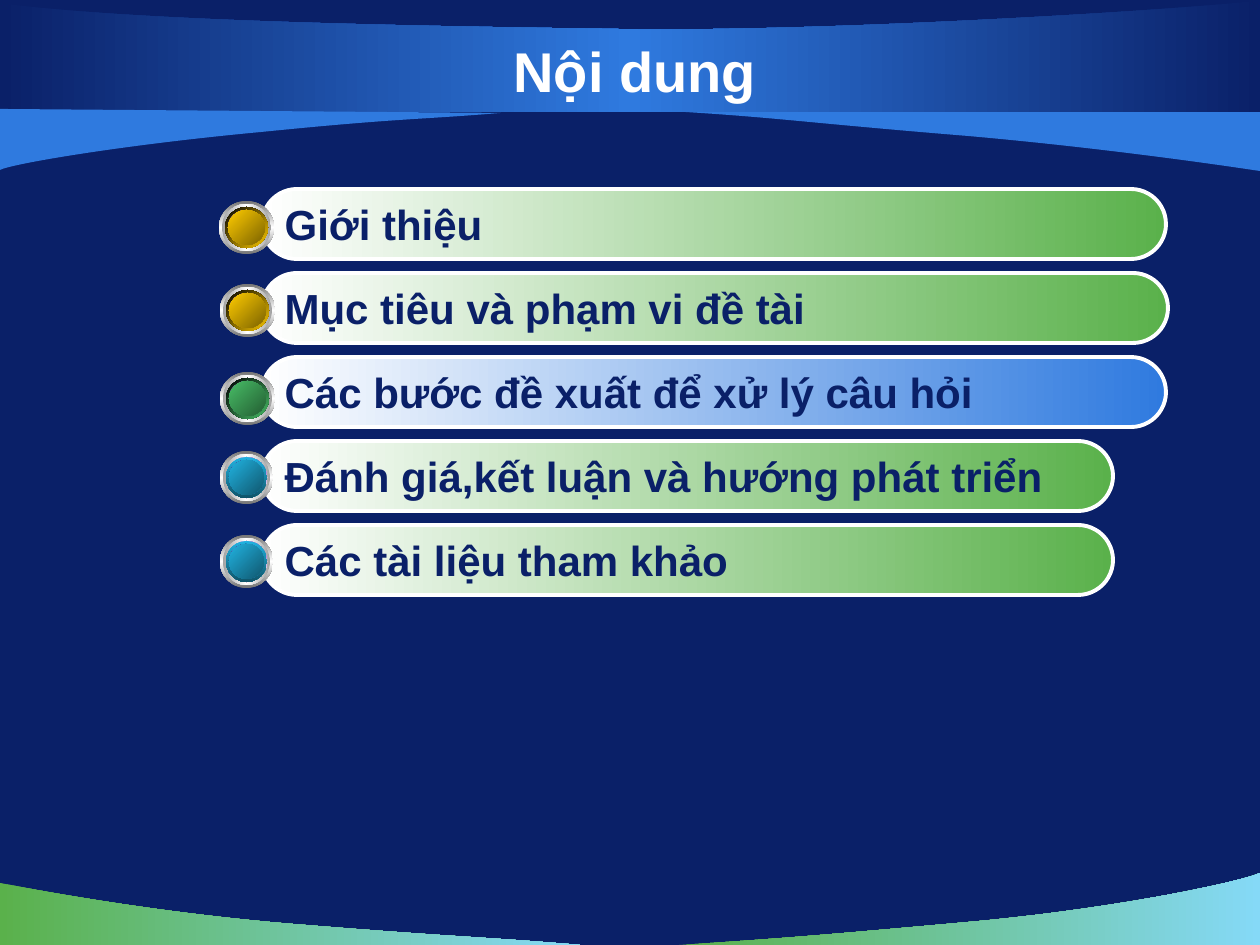
from dataclasses import dataclass

from lxml.etree import Element, SubElement
from pptx import Presentation
from pptx.dml.color import RGBColor as RGB
from pptx.enum.shapes import MSO_SHAPE as SHAPE
from pptx.enum.text import MSO_ANCHOR as ANCHOR, PP_ALIGN as ALIGN
from pptx.oxml.ns import qn
from pptx.util import Emu, Pt

SCALE = 914400 / 126


@dataclass(frozen=True)
class Theme:
    """Colours and type sizes; a shaded colour is a (hex, percent) pair."""
    font: str = "Arial"
    title_size: int = 32
    item_size: int = 24
    border: float = 2.25
    navy: str = "0A2068"
    blue: str = "2F7ADF"
    green: str = "5AB14B"
    sky: str = "85D9F7"
    white: str = "FFFFFF"
    silver: tuple = ("FFFFFF", 46)
    pearl: tuple = ("FFFFFF", 64)
    violet: str = "8A52C8"
    plum: tuple = ("8A52C8", 57)
    gold_medal: tuple = ((("FFCC00", 0), "FFCC00"), 45, ("FFCC00", ("FFCC00", 49)))
    green_medal: tuple = ((("48BE67", 0), "48BE67"), 45, ("48BE67", ("48BE67", 50)))
    blue_medal: tuple = (("21B3E1", ("21B3E1", 47)), 90, ("21B3E1", ("21B3E1", 49)))


T = Theme()


def px(n):
    """Turn a length in px into EMU."""
    return Emu(round(n * SCALE))


def add_stop(stops, pos, color):
    """Append one gradient stop, shaded if the colour is a pair."""
    gs = SubElement(stops, qn("a:gs"), pos=str(round(pos)))
    if isinstance(color, str):
        SubElement(gs, qn("a:srgbClr"), val=color)
        return
    base, percent = color
    clr = SubElement(gs, qn("a:srgbClr"), val=base)
    SubElement(clr, qn("a:gamma"))
    SubElement(clr, qn("a:shade"), val=str(percent * 1000))
    SubElement(clr, qn("a:invGamma"))


def paint(sp, colors, angle=0):
    """Fill a shape with one colour or evenly spaced gradient stops."""
    sp.shadow.inherit = False
    sp.line.fill.background()
    if len(colors) == 1:
        sp.fill.solid()
        sp.fill.fore_color.rgb = RGB.from_string(colors[0])
        return
    sp.fill.gradient()
    sp.fill.gradient_angle = (360 - angle) % 360
    stops = sp._element.spPr.find(qn("a:gradFill")).find(qn("a:gsLst"))
    for old in list(stops):
        stops.remove(old)
    for i, color in enumerate(colors):
        add_stop(stops, 100000 * i / (len(colors) - 1), color)


def write(sp, text, size, color, align):
    """Put one bold run, vertically centred, into a shape."""
    tf = sp.text_frame
    tf.word_wrap = True
    tf.vertical_anchor = ANCHOR.MIDDLE
    p = tf.paragraphs[0]
    p.alignment = align
    r = p.add_run()
    r.text = text
    r.font.name, r.font.size, r.font.bold = T.font, Pt(size), True
    r.font.color.rgb = RGB.from_string(color)


def add_wave(s, box, start, steps, colors):
    """Draw a closed outline of lines (one point) and curves (three points)."""
    left, top = box
    placed = [[(px(left + x), px(top + y)) for x, y in step] for step in steps]
    builder = s.shapes.build_freeform(px(left + start[0]), px(top + start[1]), scale=1.0)
    builder.add_line_segments([step[-1] for step in placed], close=True)
    sp = builder.convert_to_shape()
    lines = list(sp._element.iter(qn("a:lnTo")))
    for line, step in zip(lines, placed):
        if len(step) == 3:
            curve = Element(qn("a:cubicBezTo"))
            for x, y in step:
                SubElement(curve, qn("a:pt"), x=str(x - sp.left), y=str(y - sp.top))
            line.getparent().replace(line, curve)
    paint(sp, colors)


def add_backdrop(s):
    """Draw the footer waves and the header band with its wings."""
    add_wave(s, (0, 883), (580, 62),
             [((484, 54), (451, 54), (292, 41)), ((134, 28), (1, 0), (0, 0)), ((0, 62),)],
             (T.green, T.sky))
    add_wave(s, (679, 873), (0, 72),
             [((95, 66), (135, 63), (290, 49)), ((445, 35), (568, 7), (581, 0)), ((581, 72),)],
             (T.green, T.sky))
    add_wave(s, (685, 111), (0, 1),
             [((96, 7), (124, 12), (283, 25)), ((441, 39), (574, 60), (575, 60)), ((575, 0),)],
             (T.blue,))
    add_wave(s, (0, 0), (0, 112),
             [((1260, 112),), ((1260, 0),), ((1215, 8), (823, 33), (614, 29)),
              ((404, 26), (127, 21), (0, 3))],
             (T.navy, T.blue, T.navy))
    add_wave(s, (0, 109), (501, 4),
             [((417, 11), (401, 9), (262, 23)), ((122, 36), (11, 55), (0, 61)), ((0, 0),)],
             (T.blue,))


def add_title(s, box, text):
    """Write the centred slide title."""
    sp = s.shapes.add_textbox(*map(px, box))
    write(sp, text, T.title_size, T.white, ALIGN.CENTER)


def add_medal(s, box, medal):
    """Stack the rings of a round bullet into one group."""
    left, top, width, height = box
    rim, rim_angle, core = medal
    rings = [
        (0, (T.silver, T.white, T.silver), 90),
        (3, (T.pearl, T.white, T.pearl), 0),
        (6, (T.white, T.violet, T.white), 45),
        (6, rim, rim_angle),
        (9, (T.plum, T.violet, T.plum), 315),
        (9, core, 45),
    ]
    group = s.shapes.add_group_shape()
    for inset, colors, angle in rings:
        sp = group.shapes.add_shape(SHAPE.OVAL, px(left + inset), px(top + inset),
                                    px(width - 2 * inset), px(height - 2 * inset))
        paint(sp, colors, angle)


def add_item(s, box, text, color, medal, medal_box):
    """Draw one agenda bar and the medal at its left end."""
    left, top, _, _ = box
    sp = s.shapes.add_shape(SHAPE.ROUNDED_RECTANGLE, *map(px, box))
    sp.adjustments[0] = 0.5
    paint(sp, (T.white, color))
    sp.line.color.rgb = RGB.from_string(T.white)
    sp.line.width = Pt(T.border)
    write(sp, text, T.item_size, T.navy, ALIGN.LEFT)
    dx, dy, width, height = medal_box
    add_medal(s, (left + dx, top + dy, width, height), medal)


def add_agenda(s, box):
    """Stack the agenda bars at an equal pitch."""
    left, top, pitch, height = box
    items = [
        ("Giới thiệu", 904, T.green, T.gold_medal, (-43, 12, 55, 53)),
        ("Mục tiêu và phạm vi đề tài", 906, T.green, T.gold_medal, (-42, 11, 55, 53)),
        ("Các bước đề xuất để xử lý câu hỏi", 904, T.blue, T.green_medal, (-42, 15, 55, 53)),
        ("Đánh giá,kết luận và hướng phát triển", 851, T.green, T.blue_medal, (-42, 10, 53, 53)),
        ("Các tài liệu tham khảo", 851, T.green, T.blue_medal, (-42, 10, 53, 53)),
    ]
    for i, (text, width, color, medal, medal_box) in enumerate(items):
        add_item(s, (left, top + i * pitch, width, height), text, color, medal, medal_box)


def main():
    """Build the agenda slide and save it."""
    prs = Presentation()
    prs.slide_width, prs.slide_height = px(1260), px(945)
    s = prs.slides.add_slide(prs.slide_layouts[6])
    s.background.fill.solid()
    s.background.fill.fore_color.rgb = RGB.from_string(T.navy)
    add_backdrop(s)
    add_title(s, (63, 31, 1144, 78), "Nội dung")
    add_agenda(s, (262, 189, 84, 70))
    prs.save("out.pptx")


if __name__ == "__main__":
    main()
